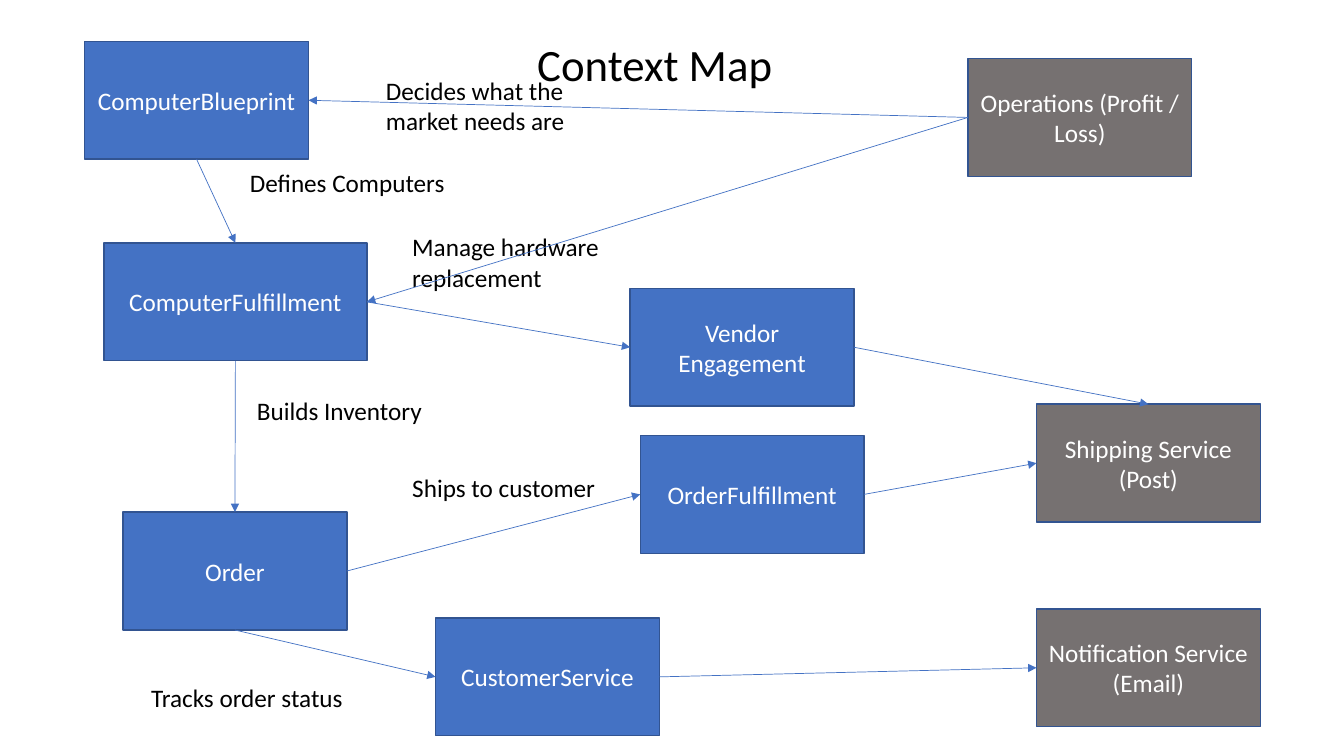
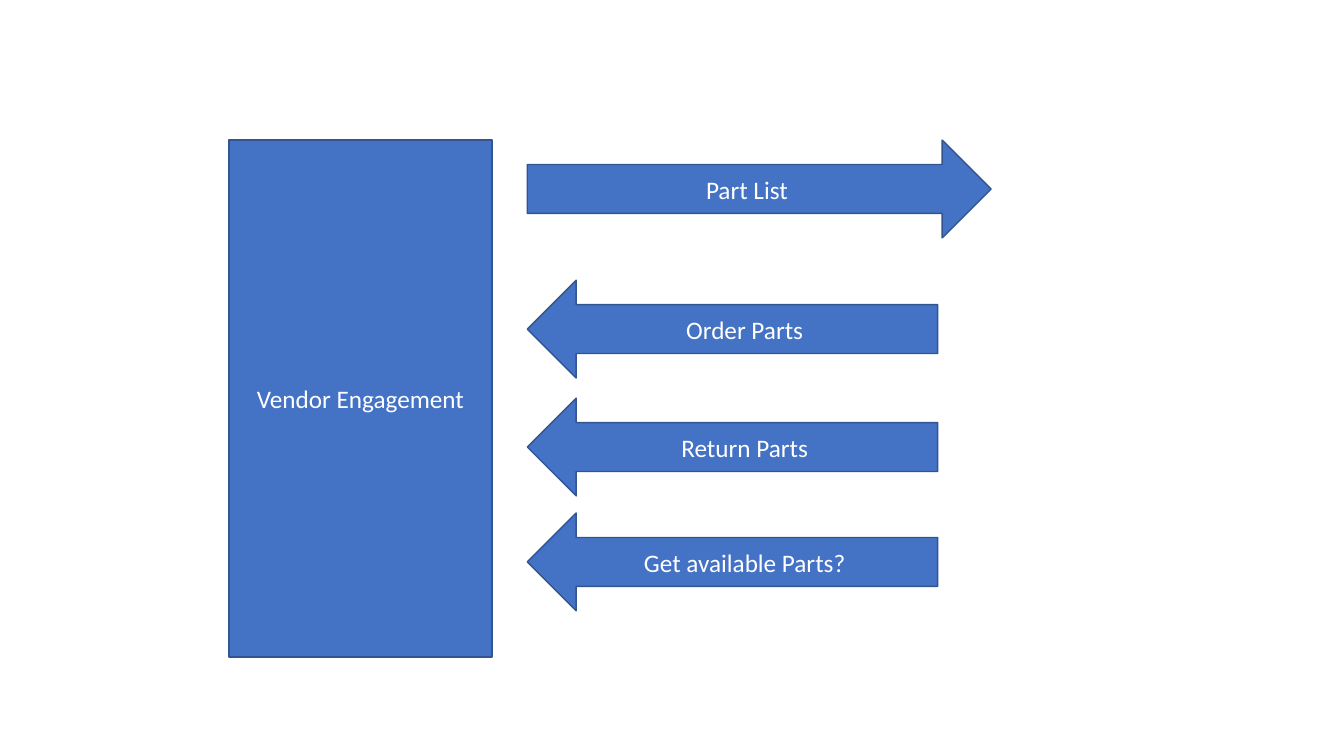
"""Build a context map slide and a vendor engagement slide."""
from dataclasses import dataclass

from lxml import etree
from pptx import Presentation
from pptx.dml.color import RGBColor
from pptx.enum.shapes import MSO_CONNECTOR, MSO_SHAPE
from pptx.enum.text import MSO_ANCHOR, MSO_AUTO_SIZE, PP_ALIGN
from pptx.oxml.ns import qn
from pptx.util import Pt

PX = 9144
SLIDE_W, SLIDE_H = 1333, 750
RECT, RIGHT_ARROW, LEFT_ARROW = MSO_SHAPE.RECTANGLE, MSO_SHAPE.RIGHT_ARROW, MSO_SHAPE.LEFT_ARROW
STRAIGHT = MSO_CONNECTOR.STRAIGHT
LEFT, CENTER = PP_ALIGN.LEFT, PP_ALIGN.CENTER
TOP_ANCHOR, MIDDLE = MSO_ANCHOR.TOP, MSO_ANCHOR.MIDDLE
GROW = MSO_AUTO_SIZE.SHAPE_TO_FIT_TEXT
TOP, WEST, BOTTOM, EAST = range(4)


@dataclass(frozen=True)
class Theme:
    font: str = "Calibri"
    internal: str = "4472C4"
    external: str = "767171"
    outline: str = "325491"
    dark: str = "000000"
    light: str = "FFFFFF"
    title_size: int = 32
    body_size: int = 18
    outline_width: float = 1
    link_width: float = 0.5


THEME = Theme()

TITLE = ("Context Map", 523, 32, 406, 64)
CONTEXT_W, WIDE_W, CONTEXT_H = 222, 261, 117
CONTEXTS = [
    ("ComputerBlueprint", 84, 41, CONTEXT_W, THEME.internal),
    ("ComputerFulfillment", 103, 241, WIDE_W, THEME.internal),
    ("Vendor Engagement", 625, 286, CONTEXT_W, THEME.internal),
    ("Order", 122, 508, CONTEXT_W, THEME.internal),
    ("OrderFulfillment", 635, 432, CONTEXT_W, THEME.internal),
    ("CustomerService", 432, 613, CONTEXT_W, THEME.internal),
    ("Shipping Service (Post)", 1028, 401, CONTEXT_W, THEME.external),
    ("Notification Service (Email)", 1028, 604, CONTEXT_W, THEME.external),
    ("Operations (Profit / Loss)", 960, 58, CONTEXT_W, THEME.external),
]
LABELS = [
    ("Defines Computers", 238, 161, 250, 40),
    ("Builds Inventory", 245, 387, 250, 40),
    ("Manage hardware replacement", 399, 225, 250, 71),
    ("Ships to customer", 399, 464, 268, 40),
    ("Tracks order status", 140, 672, 268, 40),
    ("Decides what the market needs are", 373, 70, 250, 71),
]
LINKS = [
    ("ComputerBlueprint", BOTTOM, "ComputerFulfillment", TOP),
    ("ComputerFulfillment", BOTTOM, "Order", TOP),
    ("ComputerFulfillment", EAST, "Vendor Engagement", WEST),
    ("Order", EAST, "OrderFulfillment", WEST),
    ("Order", BOTTOM, "CustomerService", WEST),
    ("Vendor Engagement", EAST, "Shipping Service (Post)", TOP),
    ("OrderFulfillment", EAST, "Shipping Service (Post)", WEST),
    ("CustomerService", EAST, "Notification Service (Email)", WEST),
    ("Operations (Profit / Loss)", WEST, "ComputerBlueprint", EAST),
    ("Operations (Profit / Loss)", WEST, "ComputerFulfillment", EAST),
]

VENDOR = ("Vendor Engagement", 227, 139, WIDE_W, 513)
MESSAGE_X, MESSAGE_H = 523, 97
MESSAGES = [
    ("Part List", RIGHT_ARROW, 139, 460),
    ("Order Parts", LEFT_ARROW, 278, 407),
    ("Return Parts", LEFT_ARROW, 395, 407),
    ("Get available Parts?", LEFT_ARROW, 509, 407),
]


def emu(*lengths):
    return [length * PX for length in lengths]


def write(frame, text, size=THEME.body_size, color=THEME.dark, align=LEFT, anchor=TOP_ANCHOR):
    frame.word_wrap = True
    frame.vertical_anchor = anchor
    paragraph = frame.paragraphs[0]
    paragraph.alignment = align
    run = paragraph.add_run()
    run.text = text
    run.font.name = THEME.font
    run.font.size = Pt(size)
    run.font.color.rgb = RGBColor.from_string(color)


def add_label(slide, text, x, y, w, h, **style):
    label = slide.shapes.add_textbox(*emu(x, y, w, h))
    write(label.text_frame, text, **style)
    label.text_frame.auto_size = GROW


def add_block(slide, text, x, y, w, h, kind=RECT, fill=THEME.internal):
    block = slide.shapes.add_shape(kind, *emu(x, y, w, h))
    block.shadow.inherit = False
    block.fill.solid()
    block.fill.fore_color.rgb = RGBColor.from_string(fill)
    block.line.color.rgb = RGBColor.from_string(THEME.outline)
    block.line.width = Pt(THEME.outline_width)
    write(block.text_frame, text, color=THEME.light, align=CENTER, anchor=MIDDLE)
    return block


def add_link(slide, source, source_side, target, target_side):
    link = slide.shapes.add_connector(STRAIGHT, 0, 0, 0, 0)
    link.begin_connect(source, source_side)
    link.end_connect(target, target_side)
    link.line.color.rgb = RGBColor.from_string(THEME.internal)
    link.line.width = Pt(THEME.link_width)
    properties = link._element.spPr
    etree.SubElement(properties.find(qn("a:ln")), qn("a:tailEnd"), type="triangle")
    etree.SubElement(properties, qn("a:effectLst"))


def build_context_map(slide):
    add_label(slide, *TITLE, size=THEME.title_size)
    blocks = {
        name: add_block(slide, name, x, y, w, CONTEXT_H, fill=fill)
        for name, x, y, w, fill in CONTEXTS
    }
    for label in LABELS:
        add_label(slide, *label)
    for source, source_side, target, target_side in LINKS:
        add_link(slide, blocks[source], source_side, blocks[target], target_side)


def build_vendor_engagement(slide):
    add_block(slide, *VENDOR)
    for text, arrow, y, w in MESSAGES:
        add_block(slide, text, MESSAGE_X, y, w, MESSAGE_H, kind=arrow)


def main():
    deck = Presentation()
    deck.slide_width, deck.slide_height = emu(SLIDE_W, SLIDE_H)
    blank = deck.slide_layouts[6]
    for build in (build_context_map, build_vendor_engagement):
        build(deck.slides.add_slide(blank))
    deck.save("out.pptx")


if __name__ == "__main__":
    main()
